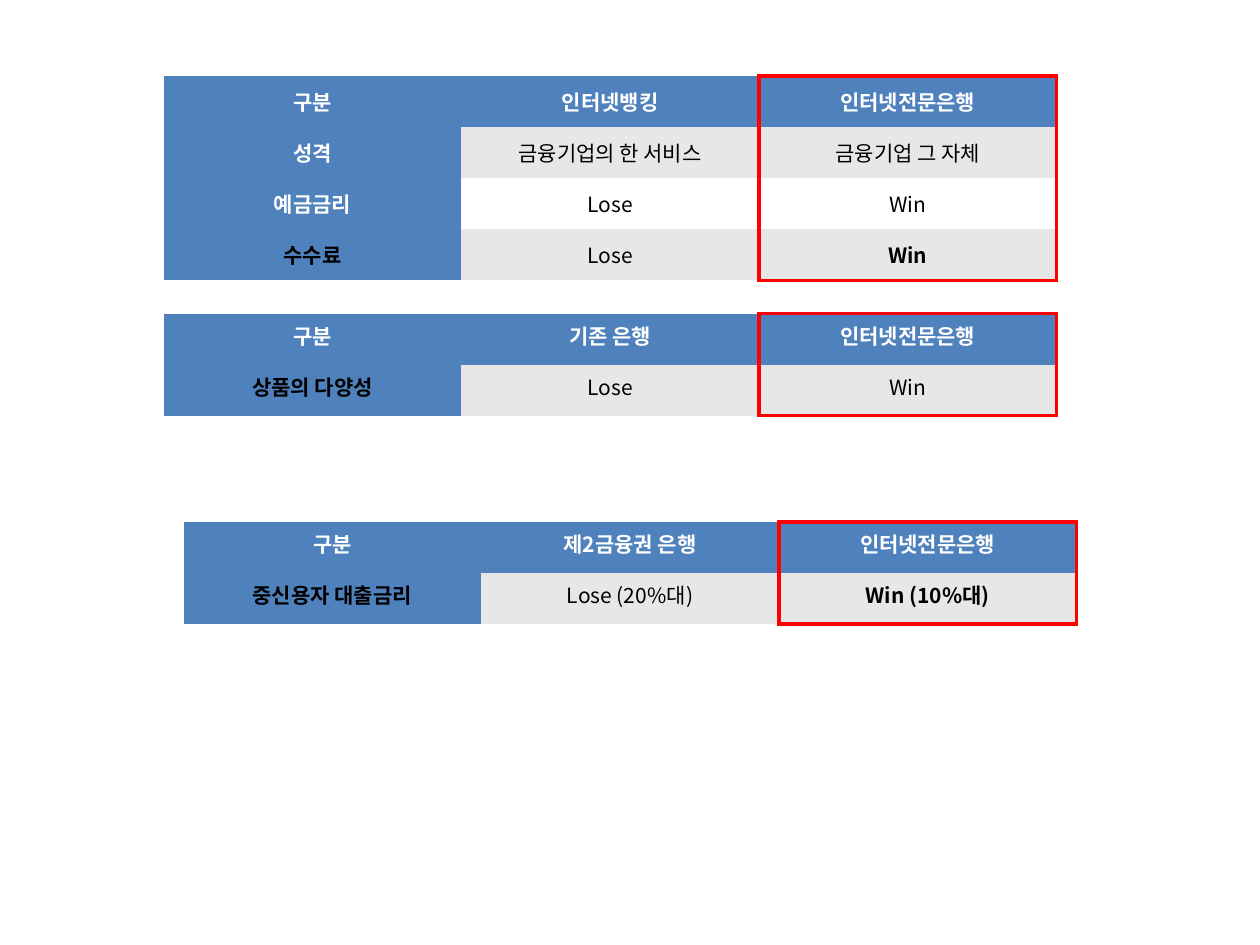
import dataclasses

import pptx
import pptx.dml.color
import pptx.enum.text
import pptx.oxml
import pptx.oxml.ns
import pptx.util

Cm = pptx.util.Cm
RGB = pptx.dml.color.RGBColor.from_string
ANCHOR = pptx.enum.text.MSO_ANCHOR


@dataclasses.dataclass(frozen=True)
class Theme:
    font: str = "Noto Sans CJK KR"
    text_size: int = 12
    header: str = "4F81BD"
    band: str = "E7E7E7"
    white: str = "FFFFFF"
    black: str = "000000"
    highlight: str = "FF0000"
    highlight_width: float = 2.25
    plain_table: str = "{2D5ABB26-0587-4C30-8999-92F81FD0307C}"


class ComparisonSlide:
    COLUMN_WIDTH = Cm(6)
    ROW_HEIGHT = Cm(1.03)

    def __init__(self, deck, theme):
        self.theme = theme
        self.slide = deck.slides.add_slide(deck.slide_layouts[6])

    def table(self, left, top, rows, anchor, dark_label=True, bold_win=False):
        """Compare banks; dark_label and bold_win style the last row."""
        theme = self.theme
        last, winner = len(rows) - 1, len(rows[0]) - 1
        frame = self.slide.shapes.add_table(
            len(rows), len(rows[0]), left, top,
            self.COLUMN_WIDTH * len(rows[0]), self.ROW_HEIGHT * len(rows))
        table = frame.table
        table.first_row = table.horz_banding = False
        style_id = table._tbl.tblPr.find(pptx.oxml.ns.qn("a:tableStyleId"))
        style_id.text = theme.plain_table

        for r, row in enumerate(rows):
            for c, text in enumerate(row):
                heading = r == 0 or c == 0
                dark = not heading or (dark_label and r == last and c == 0)
                bold = heading or (bold_win and r == last and c == winner)
                fill = theme.header if heading else (theme.band if r % 2 else theme.white)
                cell = table.cell(r, c)
                cell.vertical_anchor = anchor
                self.cell_text(cell, text, theme.black if dark else theme.white, bold)
                cell.fill.solid()
                cell.fill.fore_color.rgb = RGB(fill)
                if c == winner:
                    self.highlight(cell, "LR" + "T" * (r == 0) + "B" * (r == last))
                elif c == winner - 1:
                    self.highlight(cell, "R")

    def cell_text(self, cell, text, color, bold):
        cell.text = text
        paragraph = cell.text_frame.paragraphs[0]
        paragraph.alignment = pptx.enum.text.PP_ALIGN.CENTER
        font = paragraph.font
        font.name = self.theme.font
        font.size = pptx.util.Pt(self.theme.text_size)
        font.bold = bold
        font.color.rgb = RGB(color)
        latin = font._rPr.find(pptx.oxml.ns.qn("a:latin"))
        latin.addnext(pptx.oxml.parse_xml(
            f'<a:ea {pptx.oxml.ns.nsdecls("a")} typeface="{self.theme.font}"/>'))

    def highlight(self, cell, sides):
        """Draw the highlight border on sides, given in L, R, T, B order."""
        width = pptx.util.Pt(self.theme.highlight_width)
        properties = cell._tc.get_or_add_tcPr()
        for position, side in enumerate(sides):
            properties.insert(position, pptx.oxml.parse_xml(
                f'<a:ln{side} {pptx.oxml.ns.nsdecls("a")} w="{width}">'
                f'<a:solidFill><a:srgbClr val="{self.theme.highlight}"/></a:solidFill>'
                f'</a:ln{side}>'))


def main():
    deck = pptx.Presentation()
    deck.slide_width, deck.slide_height = Cm(25.4), Cm(19.05)
    comparison = ComparisonSlide(deck, Theme())
    category, online_bank = "구분", "인터넷전문은행"

    comparison.table(Cm(3.3), Cm(1.53), [
        (category, "인터넷뱅킹", online_bank),
        ("성격", "금융기업의 한 서비스", "금융기업 그 자체"),
        ("예금금리", "Lose", "Win"),
        ("수수료", "Lose", "Win"),
    ], ANCHOR.MIDDLE, bold_win=True)
    comparison.table(Cm(3.3), Cm(6.32), [
        (category, "기존 은행", online_bank),
        ("상품의 다양성", "Lose", "Win"),
    ], ANCHOR.TOP)
    comparison.table(Cm(3.7), Cm(10.52), [
        (category, "제2금융권 은행", online_bank),
        ("중신용자 대출금리", "Lose (20%대)", "Win (10%대)"),
    ], ANCHOR.TOP, bold_win=True)

    deck.save("out.pptx")


if __name__ == "__main__":
    main()
